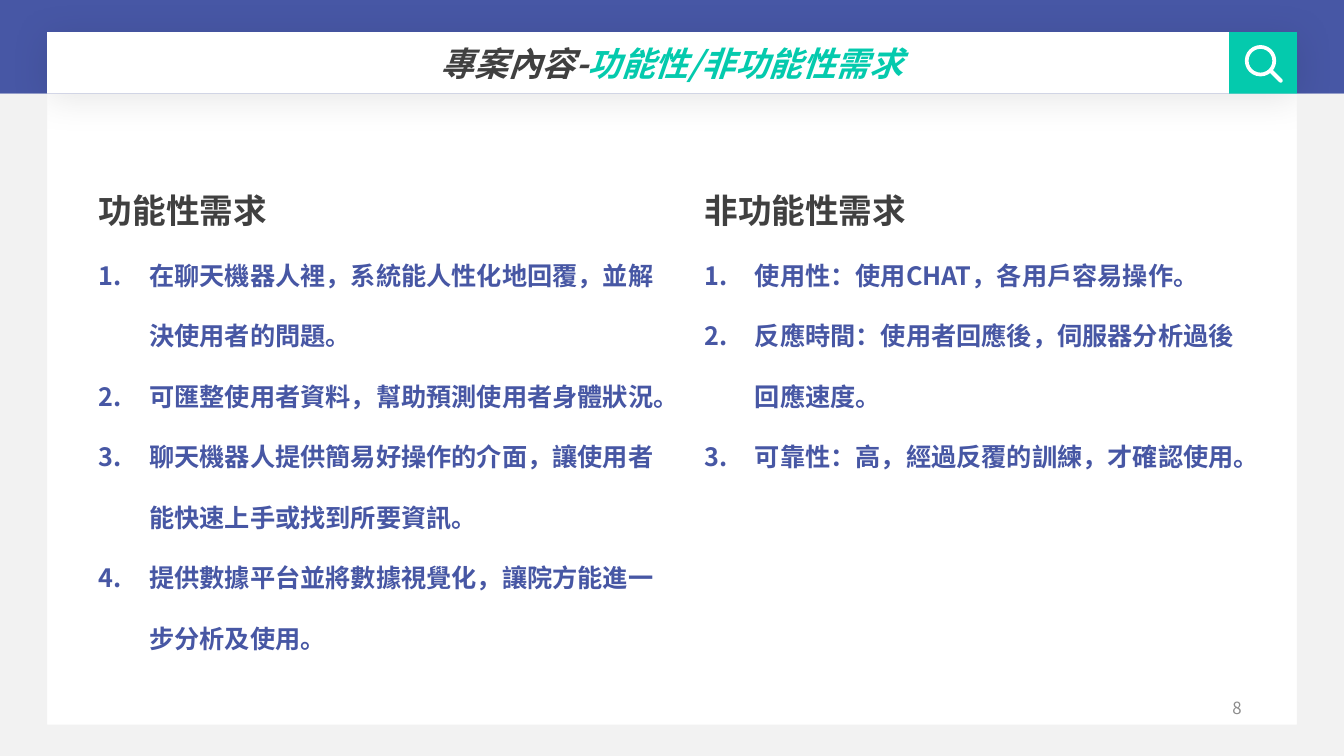
from dataclasses import dataclass

from lxml import etree
from pptx import Presentation
from pptx.dml.color import RGBColor
from pptx.enum import shapes, text
from pptx.oxml.ns import qn
from pptx.util import Pt

TITLE = [("專案內容-", "404040"), ("功能性/非功能性需求", "04CAAD")]
COLUMNS = [
    {
        "heading": "功能性需求",
        "box": (63.4, 117.4, 416.9, 356.4),
        "items": [
            "在聊天機器人裡，系統能人性化地回覆，並解決使用者的問題。",
            "可匯整使用者資料，幫助預測使用者身體狀況。",
            "聊天機器人提供簡易好操作的介面，讓使用者能快速上手或找到所要資訊。",
            "提供數據平台並將數據視覺化，讓院方能進一步分析及使用。",
        ],
    },
    {
        "heading": "非功能性需求",
        "box": (496.1, 117.4, 398.9, 225.4),
        "items": [
            "使用性：使用CHAT，各用戶容易操作。",
            "反應時間：使用者回應後，伺服器分析過後回應速度。",
            "可靠性：高，經過反覆的訓練，才確認使用。",
        ],
    },
]
PAGE_NUMBER = "8"


@dataclass(frozen=True)
class Theme:
    band: str = "4757A5"
    item: str = "4757A4"
    accent: str = "04CAAD"
    dark: str = "404040"
    frame: str = "F2F2F2"
    muted: str = "8C8C8C"
    white: str = "FFFFFF"
    font: str = "Noto Sans CJK SC"
    number_font: str = "Noto Sans CJK KR"
    heading_size: int = 24
    item_size: int = 18
    number_size: int = 12


THEME = Theme()
WIDTH, HEIGHT = 960, 540
HEADER_TOP, HEADER_BOTTOM = 23, 67
LEFT, RIGHT, BOTTOM = 33.6, 926.4, 517.7
SEARCH_LEFT = 878
INDENT = 36


def place(shape, left, top, width, height):
    shape.left, shape.top = Pt(left), Pt(top)
    shape.width, shape.height = Pt(width), Pt(height)


def paint(shape, color):
    shape.fill.solid()
    shape.fill.fore_color.rgb = RGBColor.from_string(color)
    shape.line.fill.background()
    shape.shadow.inherit = False


def add_block(parent, kind, box, color):
    shape = parent.add_shape(kind, *map(Pt, box))
    paint(shape, color)
    return shape


def style(paragraph, size, color, bold=False, italic=False, name=THEME.font):
    """Set the paragraph font, for Latin and East Asian letters alike."""
    font = paragraph.font
    font.size, font.bold, font.italic, font.name = Pt(size), bold, italic, name
    font.color.rgb = RGBColor.from_string(color)
    defaults = paragraph._p.pPr.find(qn("a:defRPr"))
    etree.SubElement(defaults, qn("a:ea"), typeface=name)


def set_bullet(paragraph, numbered):
    """Number the paragraph with a hanging indent, or remove its bullet."""
    properties = paragraph._p.get_or_add_pPr()
    indent = Pt(INDENT) if numbered else 0
    properties.set("marL", str(indent))
    properties.set("indent", str(-indent))
    if numbered:
        bullet_font = etree.Element(qn("a:buFont"), typeface="+mj-lt")
        bullet = etree.Element(qn("a:buAutoNum"), type="arabicPeriod")
        new = [bullet_font, bullet]
    else:
        new = [etree.Element(qn("a:buNone"))]
    position = list(properties).index(properties.find(qn("a:defRPr")))
    properties[position:position] = new


def add_soft_shadow(shape):
    effects = shape._element.spPr.find(qn("a:effectLst"))
    shadow = etree.SubElement(effects, qn("a:outerShdw"), blurRad=str(Pt(27)),
                              dist=str(Pt(3)), dir="5400000", rotWithShape="0")
    color = etree.SubElement(shadow, qn("a:srgbClr"), val="000000")
    etree.SubElement(color, qn("a:alpha"), val="10000")


def fill_title(title):
    place(title, LEFT, HEADER_TOP, RIGHT - LEFT, HEADER_BOTTOM - HEADER_TOP)
    paint(title, THEME.white)
    add_soft_shadow(title)
    frame = title.text_frame
    frame.auto_size = text.MSO_AUTO_SIZE.NONE
    frame.vertical_anchor = text.MSO_ANCHOR.MIDDLE
    paragraph = frame.paragraphs[0]
    paragraph.alignment = text.PP_ALIGN.CENTER
    style(paragraph, THEME.heading_size, THEME.dark, bold=True, italic=True)
    for words, color in TITLE:
        run = paragraph.add_run()
        run.text = words
        run.font.color.rgb = RGBColor.from_string(color)


def add_search_icon(slide):
    group = slide.shapes.add_group_shape().shapes
    kinds = shapes.MSO_SHAPE
    add_block(group, kinds.RECTANGLE,
              (SEARCH_LEFT, HEADER_TOP, RIGHT - SEARCH_LEFT, HEADER_BOTTOM - HEADER_TOP),
              THEME.accent)
    lens = add_block(group, kinds.DONUT, (889.2, 32.2, 22.4, 22.4), THEME.white)
    lens.adjustments[0] = 0.12
    handle = add_block(group, kinds.ROUNDED_RECTANGLE, (910.1, 48.2, 2.9, 12.2), THEME.white)
    handle.adjustments[0] = 0.5
    handle.rotation = 315


def add_page_frame(slide):
    corners = [(0, HEADER_BOTTOM), (LEFT, HEADER_BOTTOM), (LEFT, BOTTOM), (RIGHT, BOTTOM),
               (RIGHT, HEADER_BOTTOM), (WIDTH, HEADER_BOTTOM), (WIDTH, HEIGHT), (0, HEIGHT)]
    points = [(Pt(x), Pt(y)) for x, y in corners]
    builder = slide.shapes.build_freeform(*points[0])
    builder.add_line_segments(points[1:], close=True)
    paint(builder.convert_to_shape(), THEME.frame)


def fill_column(body, column):
    place(body, *column["box"])
    frame = body.text_frame
    frame.word_wrap = True
    frame.auto_size = text.MSO_AUTO_SIZE.SHAPE_TO_FIT_TEXT
    frame.text = "\n".join([column["heading"], *column["items"]])
    for index, paragraph in enumerate(frame.paragraphs):
        is_item = index > 0
        paragraph.space_before = Pt(0)
        paragraph.line_spacing = 2.0 if is_item else 1.5
        style(paragraph, THEME.item_size if is_item else THEME.heading_size,
              THEME.item if is_item else THEME.dark, bold=True)
        set_bullet(paragraph, is_item)


def add_page_number(slide):
    frame = slide.shapes.add_textbox(Pt(678), Pt(491), Pt(216), Pt(28.8)).text_frame
    frame.word_wrap = True
    frame.vertical_anchor = text.MSO_ANCHOR.MIDDLE
    paragraph = frame.paragraphs[0]
    paragraph.text = PAGE_NUMBER
    paragraph.alignment = text.PP_ALIGN.RIGHT
    style(paragraph, THEME.number_size, THEME.muted, name=THEME.number_font)


def main():
    presentation = Presentation()
    presentation.slide_width, presentation.slide_height = Pt(WIDTH), Pt(HEIGHT)
    slide = presentation.slides.add_slide(presentation.slide_layouts.get_by_name("Two Content"))
    title, *bodies = slide.placeholders
    tree = slide.shapes.element

    add_block(slide.shapes, shapes.MSO_SHAPE.RECTANGLE, (0, 0, WIDTH, HEADER_BOTTOM), THEME.band)
    fill_title(title)
    tree.append(title.element)  # above the band
    add_search_icon(slide)
    add_page_frame(slide)
    for body, column in zip(bodies, COLUMNS):
        fill_column(body, column)
        tree.append(body.element)  # above the page frame
    add_page_number(slide)
    presentation.save("out.pptx")


if __name__ == "__main__":
    main()
